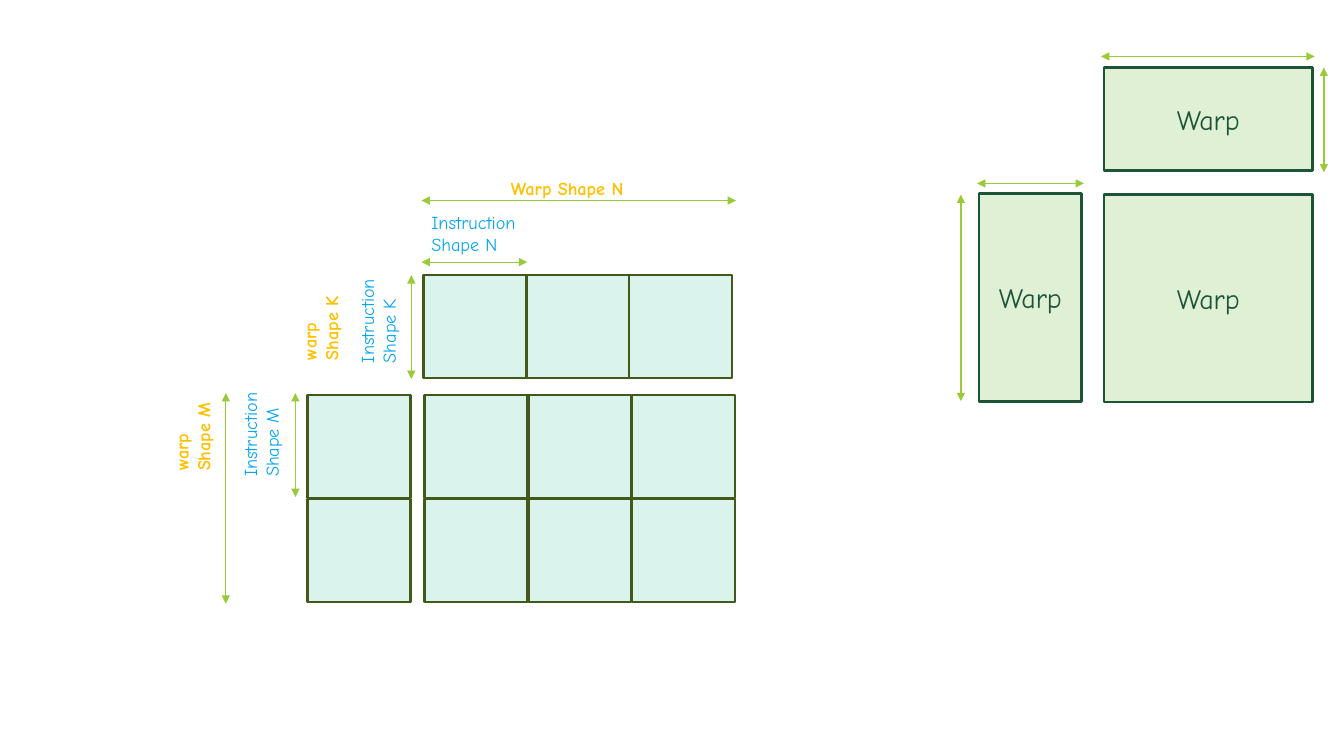
import pptx
import pptx.util
import pptx.dml.color
import pptx.enum.shapes
import pptx.enum.text
import pptx.oxml
import pptx.oxml.ns
from pptx.util import Inches

FONT = "Comic Neue"
WARP_FILL, WARP_LINE = "DFF0D4", "1C5438"
TILE_FILL, TILE_LINE = "DAF3ED", "435919"
ARROW, BLUE, GOLD = "99CB38", "08A5EF", "FFC000"
TILE = 1.02

# Warp blocks: left, top, width, height
WARPS = [
    (10.95, 0.67, 2.07, 1.02),
    (9.71, 1.92, 1.02, 2.06),
    (10.95, 1.93, 2.07, 2.06),
]
# Instruction tile grids: left, top, columns, rows, step between tiles
GRIDS = [
    (3.05, 3.92, 1, 2, 1.03),
    (4.2, 2.73, 3, 1, 1.02),
    (4.21, 3.92, 3, 2, 1.03),
]
# Dimension arrows: x1, y1, x2, y2, by line width
ARROWS = {
    1: [
        (9.53, 1.93, 9.53, 3.98),
        (10.75, 1.82, 9.69, 1.82),
        (13.04, 0.56, 10.92, 0.56),
        (13.13, 0.67, 13.13, 1.71),
    ],
    0.5: [
        (4.18, 2.6, 5.23, 2.6),
        (4.18, 1.99, 7.3, 1.99),
        (4.08, 3.76, 4.08, 2.73),
        (2.93, 3.9, 2.93, 4.93),
        (2.24, 3.9, 2.24, 5.99),
    ],
}
# Dimension labels: lines, box, colour, bold, turned
LABELS = [
    (["Instruction", "Shape N"], (4.18, 2.05, 1.15, 0.54), BLUE, False, False),
    (["Warp Shape N"], (4.97, 1.71, 2.23, 0.32), GOLD, True, False),
    (["Instruction", "Shape K"], (3.48, 1.89, 0.64, 1.81), BLUE, False, True),
    (["warp", "Shape K"], (2.91, 2.65, 0.64, 1.02), GOLD, True, True),
    (["Instruction", "Shape M"], (2.32, 3.02, 0.64, 1.81), BLUE, False, True),
    (["warp", "Shape M"], (1.64, 3.75, 0.64, 1.02), GOLD, True, True),
]


def rgb(value):
    return pptx.dml.color.RGBColor.from_string(value)


def set_font(p, size, color, bold=False):
    p.font.name = FONT
    p.font.size = pptx.util.Pt(size)
    p.font.bold = bold
    p.font.color.rgb = rgb(color)


def add_rect(s, box, fill, line, width):
    sp = s.shapes.add_shape(
        pptx.enum.shapes.MSO_SHAPE.RECTANGLE, *map(Inches, box))
    sp.shadow.inherit = False
    sp.fill.solid()
    sp.fill.fore_color.rgb = rgb(fill)
    sp.line.color.rgb = rgb(line)
    sp.line.width = pptx.util.Pt(width)
    return sp


def add_arrow(s, ends, width):
    c = s.shapes.add_connector(
        pptx.enum.shapes.MSO_CONNECTOR.STRAIGHT, *map(Inches, ends))
    c.line.color.rgb = rgb(ARROW)
    c.line.width = pptx.util.Pt(width)
    ln = c.line._get_or_add_ln()
    for tag in ("a:headEnd", "a:tailEnd"):
        end = pptx.oxml.parse_xml(
            f"<{tag} {pptx.oxml.ns.nsdecls('a')} type='triangle'/>")
        ln.append(end)
    c._element.spPr.append(pptx.oxml.parse_xml(
        f"<a:effectLst {pptx.oxml.ns.nsdecls('a')}/>"))


def add_label(s, lines, box, color, bold, turned):
    tf = s.shapes.add_textbox(*map(Inches, box)).text_frame
    tf.word_wrap = True
    if turned:
        tf._txBody.bodyPr.set("vert", "vert270")
    tf.text = "\n".join(lines)
    for p in tf.paragraphs:
        set_font(p, 13, color, bold)


prs = pptx.Presentation()
prs.slide_width, prs.slide_height = Inches(13.33), Inches(7.5)
s = prs.slides.add_slide(prs.slide_layouts[6])

# Warp blocks
for box in WARPS:
    tf = add_rect(s, box, WARP_FILL, WARP_LINE, 2).text_frame
    tf.text = "Warp"
    tf.vertical_anchor = pptx.enum.text.MSO_ANCHOR.MIDDLE
    p = tf.paragraphs[0]
    p.alignment = pptx.enum.text.PP_ALIGN.CENTER
    set_font(p, 20, WARP_LINE)

# Instruction tiles
for left, top, cols, rows, step in GRIDS:
    for row in range(rows):
        for col in range(cols):
            box = (left + col * step, top + row * step, TILE, TILE)
            add_rect(s, box, TILE_FILL, TILE_LINE, 1.75)

# Arrows and labels
for width, arrows in ARROWS.items():
    for ends in arrows:
        add_arrow(s, ends, width)
for label in LABELS:
    add_label(s, *label)

prs.save("out.pptx")
